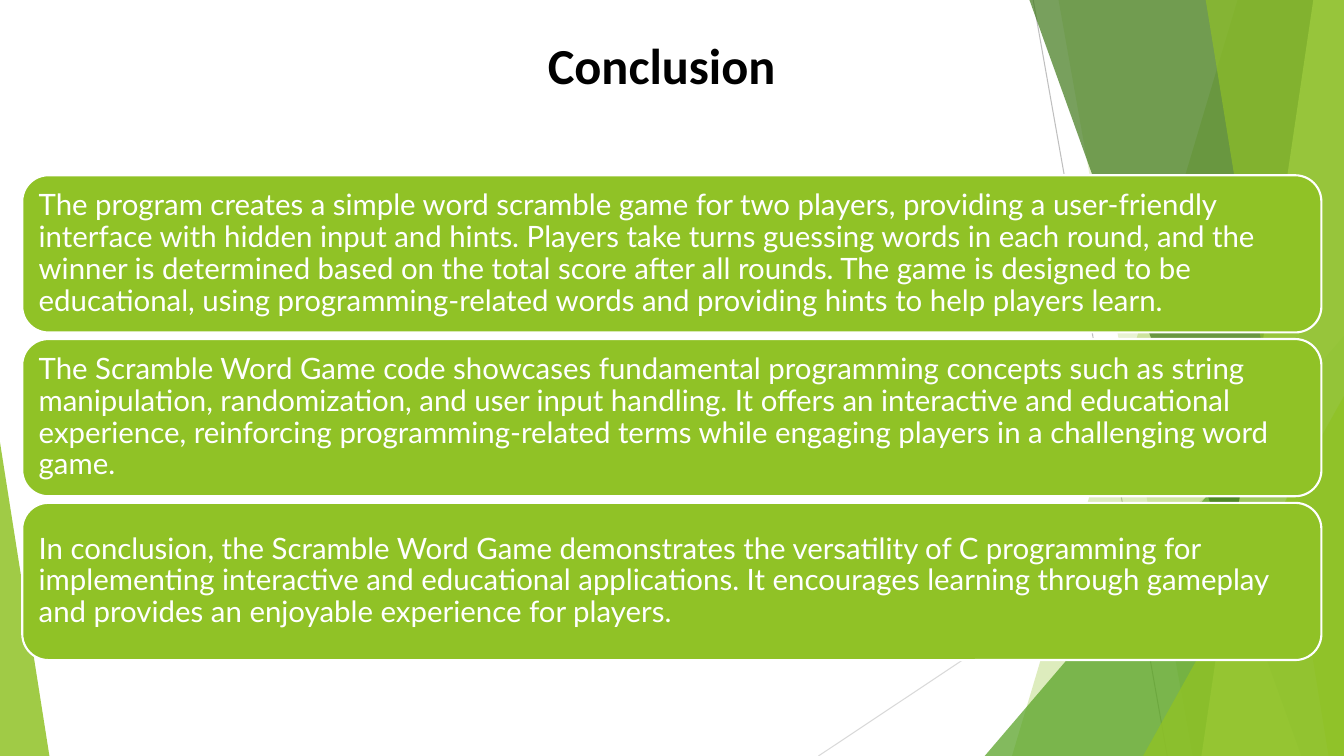
"""Build the conclusion slide: green facet backdrop, title and three text cards."""
from lxml.etree import SubElement
from pptx import Presentation
from pptx.dml.color import RGBColor
from pptx.enum.shapes import MSO_CONNECTOR, MSO_SHAPE
from pptx.enum.text import MSO_ANCHOR, PP_ALIGN
from pptx.oxml.ns import qn
from pptx.util import Pt

GREEN = RGBColor(0x90, 0xC2, 0x26)
LEAF = RGBColor(0x54, 0xA0, 0x21)
FOREST = RGBColor(0x3F, 0x78, 0x19)
LIME = RGBColor(0xC0, 0xE4, 0x74)
GRAY = RGBColor(0xBF, 0xBF, 0xBF)
PALE_GRAY = RGBColor(0xD9, 0xD9, 0xD9)
WHITE = RGBColor(0xFF, 0xFF, 0xFF)
BLACK = RGBColor(0, 0, 0)
WIDTH, HEIGHT = 960, 540

CARDS = [
    "The program creates a simple word scramble game for two players, providing a user-friendly "
    "interface with hidden input and hints. Players take turns guessing words in each round, and "
    "the winner is determined based on the total score after all rounds. The game is designed to "
    "be educational, using programming-related words and providing hints to help players learn.",
    "The Scramble Word Game code showcases fundamental programming concepts such as string "
    "manipulation, randomization, and user input handling. It offers an interactive and "
    "educational experience, reinforcing programming-related terms while engaging players in a "
    "challenging word game.",
    "In conclusion, the Scramble Word Game demonstrates the versatility of C programming for "
    "implementing interactive and educational applications. It encourages learning through "
    "gameplay and provides an enjoyable experience for players.",
]

prs = Presentation()
prs.slide_width, prs.slide_height = Pt(WIDTH), Pt(HEIGHT)
slide = prs.slides.add_slide(prs.slide_layouts[6])
shapes = slide.shapes


def paint(facet, color, opacity):
    """Give a facet a translucent fill without line or shadow."""
    facet.shadow.inherit = False
    facet.line.fill.background()
    facet.fill.solid()
    facet.fill.fore_color.rgb = color
    tint = facet.fill._xPr.find(qn("a:solidFill"))[0]
    SubElement(tint, qn("a:alpha")).set("val", str(opacity * 1000))


for x1, y1, x2, y2, color in [(738, 0, 833.8, HEIGHT, GRAY),
                              (WIDTH, 290.2, 584.6, HEIGHT, PALE_GRAY)]:
    ray = shapes.add_connector(MSO_CONNECTOR.STRAIGHT, Pt(x1), Pt(y1), Pt(x2), Pt(y2))
    ray.line.color.rgb = color
    ray.line.width = Pt(0.75)
    SubElement(ray._element.spPr, qn("a:effectLst"))

FACETS = [
    ("band", 884.2, 722.9, GREEN, 30),
    ("band", 756, 851.8, GREEN, 20),
    ("triangle", 703.4, 239.8, LEAF, 72),
    ("band", 735.1, 929.5, FOREST, 70),
    ("band", 938.2, 858.2, LIME, 70),
    ("band", 861.1, 949, GREEN, 65),
    ("triangle", 816.5, 283, GREEN, 80),
]
for kind, first, second, color, opacity in FACETS:
    if kind == "band":
        outline = shapes.build_freeform(Pt(first), Pt(-0.7))
        outline.add_line_segments([(Pt(WIDTH), Pt(-0.7)), (Pt(WIDTH), Pt(HEIGHT)),
                                   (Pt(second), Pt(HEIGHT))])
        facet = outline.convert_to_shape()
    else:
        facet = shapes.add_shape(MSO_SHAPE.ISOSCELES_TRIANGLE, Pt(first), Pt(second),
                                 Pt(WIDTH - first), Pt(HEIGHT - second))
        facet.adjustments[0] = 1
    paint(facet, color, opacity)

left_facet = shapes.add_shape(MSO_SHAPE.ISOSCELES_TRIANGLE, 0, Pt(316), Pt(35.3), Pt(224))
left_facet.adjustments[0] = 0
paint(left_facet, GREEN, 85)

title = shapes.add_textbox(Pt(52.6), Pt(18), Pt(840.2), Pt(56.2)).text_frame
title.word_wrap = True
title.vertical_anchor = MSO_ANCHOR.MIDDLE
title.paragraphs[0].alignment = PP_ALIGN.CENTER
heading = title.paragraphs[0].add_run()
heading.text = "Conclusion"
heading.font.name = "Calibri"
heading.font.size = Pt(36)
heading.font.bold = True
heading.font.color.rgb = BLACK

for row, statement in enumerate(CARDS):
    card = shapes.add_shape(MSO_SHAPE.ROUNDED_RECTANGLE, Pt(15.9), Pt(125.2 + 117 * row),
                            Pt(928), Pt(112.3))
    card.shadow.inherit = False
    card.fill.solid()
    card.fill.fore_color.rgb = GREEN
    card.line.color.rgb = WHITE
    card.line.width = Pt(1.5)
    frame = card.text_frame
    frame.word_wrap = True
    frame.vertical_anchor = MSO_ANCHOR.MIDDLE
    frame.margin_left = frame.margin_right = frame.margin_top = frame.margin_bottom = Pt(6.3)
    paragraph = frame.paragraphs[0]
    paragraph.alignment = PP_ALIGN.LEFT
    paragraph.line_spacing = 0.9
    run = paragraph.add_run()
    run.text = statement
    run.font.name = "Lato"
    run.font.size = Pt(21)
    run.font.color.rgb = WHITE

prs.save("out.pptx")
